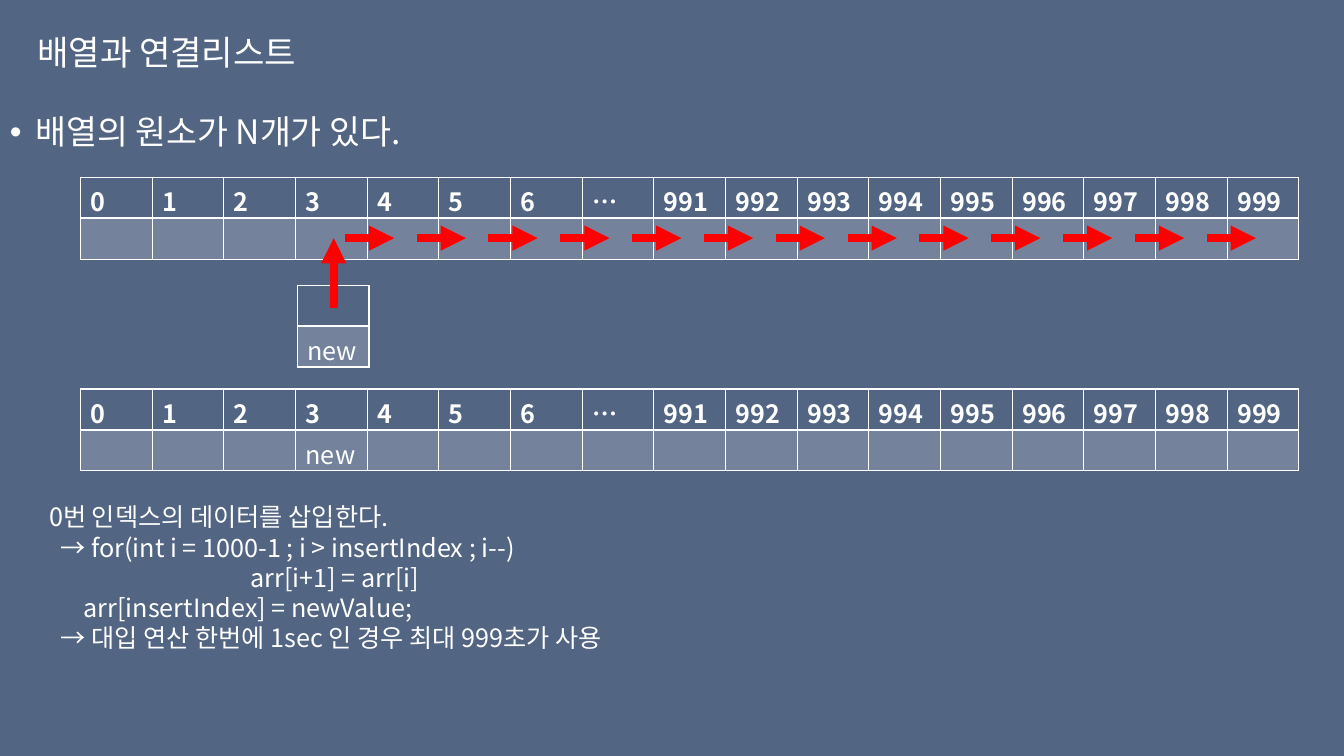
from lxml import etree
from pptx import Presentation
from pptx.dml.color import RGBColor
from pptx.enum.shapes import MSO_CONNECTOR
from pptx.enum.text import MSO_ANCHOR
from pptx.oxml.ns import qn
from pptx.util import Cm, Pt

STRAIGHT = MSO_CONNECTOR.STRAIGHT
TOP = MSO_ANCHOR.TOP
MIDDLE = MSO_ANCHOR.MIDDLE

THEME = {
    "font": "Noto Sans CJK KR",
    "background": RGBColor(0x52, 0x65, 0x82),
    "text": RGBColor(0xFF, 0xFF, 0xFF),
    "arrow": RGBColor(0xFF, 0x00, 0x00),
    "cell_alpha": 20,
    "title": Pt(24.4),
    "statement": Pt(24),
    "body": Pt(18),
    "thin": Pt(1),
    "thick": Pt(2),
    "arrow_width": Pt(6),
}


def style_text(paragraph, size, bold=False):
    for span in paragraph.runs:
        span.font.name = THEME["font"]
        span.font.size = size
        span.font.bold = bold
        span.font.color.rgb = THEME["text"]
        east_asian = etree.SubElement(span.font._element, qn("a:ea"))
        east_asian.set("typeface", THEME["font"])


def add_box(left, top, width, height, lines, size, anchor=TOP):
    box = page.shapes.add_textbox(Cm(left), Cm(top), Cm(width), Cm(height))
    frame = box.text_frame
    frame.word_wrap = True
    frame.vertical_anchor = anchor
    frame.text = "\n".join(lines)
    for paragraph in frame.paragraphs:
        style_text(paragraph, size)
    return frame.paragraphs


deck = Presentation()
deck.slide_width = Cm(33.87)
deck.slide_height = Cm(19.05)
page = deck.slides.add_slide(deck.slide_layouts[6])
page.background.fill.solid()
page.background.fill.fore_color.rgb = THEME["background"]

statement = add_box(0, 2.79, 32.33, 14.05, ["배열의 원소가 N개가 있다."], THEME["statement"])[0]
statement.line_spacing = 0.9
statement.space_before = Pt(10)
properties = statement._p.get_or_add_pPr()
properties.set("marL", str(Cm(0.64)))
properties.set("indent", str(-Cm(0.64)))
etree.SubElement(properties, qn("a:buFont")).set("typeface", "Arial")
etree.SubElement(properties, qn("a:buChar")).set("char", "•")

explanation = [
    ("0번 인덱스의 데이터를 삽입한다.", 0.15),
    ("→ for(int i = 1000-1 ; i > insertIndex ; i--)", 0.44),
    ("arr[i+1] = arr[i]", 5.23),
    ("arr[insertIndex] = newValue;", 1.02),
    ("→ 대입 연산 한번에 1sec 인 경우 최대 999초가 사용", 0.44),
]
lines = add_box(0.84, 12.52, 16.92, 4.88, [text for text, _ in explanation], THEME["body"])
for paragraph, (_, indent) in zip(lines, explanation):
    paragraph._p.get_or_add_pPr().set("marL", str(Cm(indent)))

indexes = [*map(str, range(7)), "…", *map(str, range(991, 1000))]
empty = [""] * len(indexes)
inserted = ["new" if index == "3" else "" for index in indexes]
arrays = [
    (2.03, 4.47, 30.71, [indexes, empty]),
    (7.49, 7.19, 1.81, [[""], ["new"]]),
    (2.03, 9.8, 30.71, [indexes, inserted]),
]
for left, top, width, rows in arrays:
    count = len(rows[0])
    frame = page.shapes.add_table(2, count, Cm(left), Cm(top), Cm(width), Cm(2.06))
    table = frame.table
    table.first_row = False
    table.horz_banding = False
    for column in table.columns:
        column.width = Cm(width) // count
    for row_number, values in enumerate(rows):
        table.rows[row_number].height = Cm(1.03)
        is_header = row_number == 0
        for column_number, value in enumerate(values):
            cell = table.cell(row_number, column_number)
            cell.text = value
            style_text(cell.text_frame.paragraphs[0], THEME["body"], is_header)
            if is_header:
                cell.fill.background()
            else:
                cell.fill.solid()
                cell.fill.fore_color.rgb = THEME["text"]
            cell_properties = cell._tc.get_or_add_tcPr()
            for color in cell_properties.iter(qn("a:srgbClr")):
                alpha = etree.SubElement(color, qn("a:alpha"))
                alpha.set("val", str(THEME["cell_alpha"] * 1000))
            divider = "a:lnB" if is_header else "a:lnT"
            for position, side in enumerate(("a:lnL", "a:lnR", "a:lnT", "a:lnB")):
                border = etree.Element(qn(side))
                border.set("w", str(THEME["thick"] if side == divider else THEME["thin"]))
                solid = etree.SubElement(border, qn("a:solidFill"))
                etree.SubElement(solid, qn("a:srgbClr")).set("val", str(THEME["text"]))
                cell_properties.insert(position, border)

shift_starts = [8.69 + 1.81 * step for step in range(13)]
arrows = [(start, 6, start + 1.24, 6) for start in shift_starts]
arrows.append((8.41, 7.77, 8.41, 6))
for ends in arrows:
    arrow = page.shapes.add_connector(STRAIGHT, *map(Cm, ends))
    arrow.line.color.rgb = THEME["arrow"]
    arrow.line.width = THEME["arrow_width"]
    etree.SubElement(arrow.line._get_or_add_ln(), qn("a:tailEnd")).set("type", "triangle")
    etree.SubElement(arrow._element.spPr, qn("a:effectLst"))

title = add_box(0.69, 0.76, 12.6, 1.24, ["배열과 연결리스트"], THEME["title"], MIDDLE)[0]
title.line_spacing = 0.9

deck.save("out.pptx")
